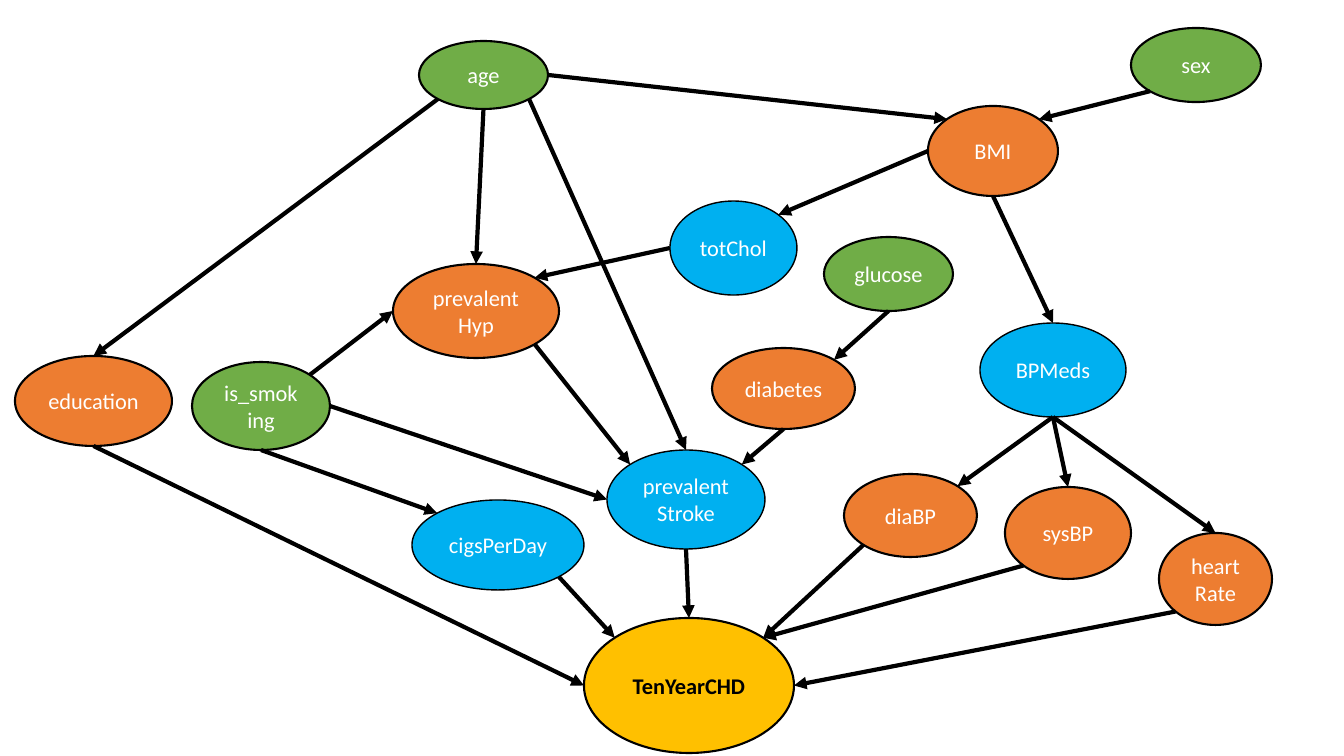
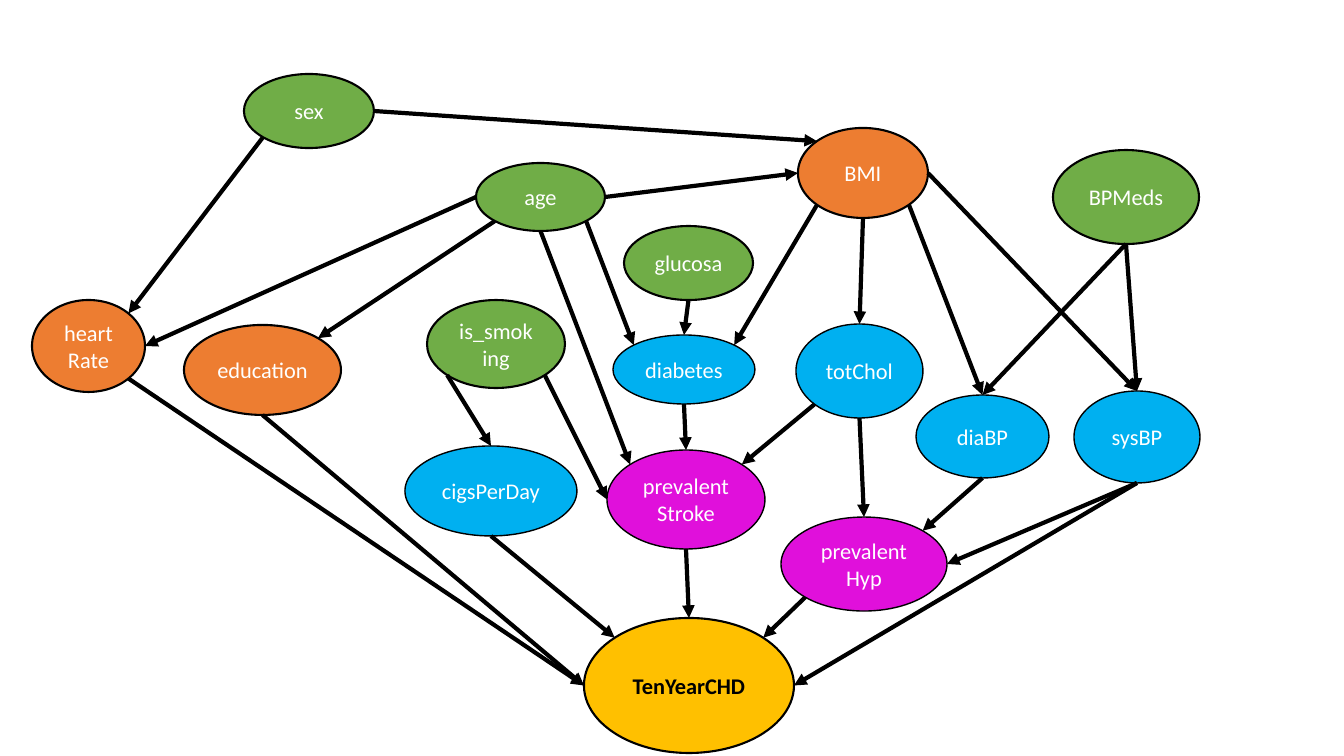
"""Builds two slides of causal graphs about ten-year heart disease risk."""
from lxml import etree
from pptx import Presentation
from pptx import util as u
from pptx.dml.color import RGBColor
from pptx.enum import shapes, text
from pptx.oxml.ns import qn

PIXEL = 914400 / 100.8
BLACK = RGBColor(0x00, 0x00, 0x00)
WHITE = RGBColor(0xFF, 0xFF, 0xFF)
GREEN = RGBColor(0x70, 0xAD, 0x47)
ORANGE = RGBColor(0xED, 0x7D, 0x31)
BLUE = RGBColor(0x00, 0xB0, 0xF0)
MAGENTA = RGBColor(0xE0, 0x10, 0xDB)
GOLD = RGBColor(0xFF, 0xC0, 0x00)

OUTLINES = {GREEN: 1.5, ORANGE: 1.5, GOLD: 1.5, BLUE: 1, MAGENTA: 1}
LABEL = {"name": "Calibri", "size": u.Pt(16), "bold": False}
OUTCOME_LABEL = {**LABEL, "bold": True}

DIAGONAL = 0.5 ** 0.5
SITES = {
    "top": (0, 0, -1),
    "top left": (1, -DIAGONAL, -DIAGONAL),
    "left": (2, -1, 0),
    "bottom left": (3, -DIAGONAL, DIAGONAL),
    "bottom": (4, 0, 1),
    "bottom right": (5, DIAGONAL, DIAGONAL),
    "right": (6, 1, 0),
    "top right": (7, DIAGONAL, -DIAGONAL),
}

SIZES = {
    "BPMeds": (146, 94), "is_smoking": (138, 88), "sex": (130, 74),
    "age": (129, 68), "cigsPerDay": (172, 90), "BMI": (130, 90),
    "sysBP": (126, 92), "totChol": (127, 94), "TenYearCHD": (210, 135),
    "education": (157, 90), "prevalentStroke": (158, 99),
    "prevalentHyp": (166, 94), "diabetes": (143, 81), "diaBP": (133, 83),
    "heartRate": (113, 92), "glucose": (129, 74), "glucosa": (129, 74),
}

FIRST_NODES = {
    "BPMeds": (980, 323, BLUE), "is_smoking": (192, 362, GREEN),
    "sex": (1131, 28, GREEN), "age": (419, 41, GREEN),
    "cigsPerDay": (412, 500, BLUE), "BMI": (928, 106, ORANGE),
    "sysBP": (1005, 487, ORANGE), "totChol": (670, 201, BLUE),
    "TenYearCHD": (584, 618, GOLD), "education": (15, 356, ORANGE),
    "prevalentStroke": (607, 450, BLUE), "prevalentHyp": (393, 264, ORANGE),
    "diabetes": (712, 348, ORANGE), "diaBP": (844, 474, ORANGE),
    "heartRate": (1159, 533, ORANGE), "glucose": (824, 237, GREEN),
}
FIRST_ARROWS = [
    ("is_smoking", "bottom", "cigsPerDay", "top left"),
    ("is_smoking", "top right", "prevalentHyp", "left"),
    ("is_smoking", "right", "prevalentStroke", "left"),
    ("age", "bottom", "prevalentHyp", "top"),
    ("age", "bottom left", "education", "top"),
    ("age", "bottom right", "prevalentStroke", "top"),
    ("age", "right", "BMI", "top left"),
    ("education", "bottom", "TenYearCHD", "left"),
    ("diabetes", "bottom", "prevalentStroke", "top right"),
    ("prevalentHyp", "bottom right", "prevalentStroke", "top left"),
    ("glucose", "bottom", "diabetes", "top right"),
    ("cigsPerDay", "bottom right", "TenYearCHD", "top left"),
    ("sex", "bottom left", "BMI", "top right"),
    ("BMI", "bottom", "BPMeds", "top"),
    ("BMI", "left", "totChol", "top right"),
    ("totChol", "left", "prevalentHyp", "top right"),
    ("prevalentStroke", "bottom", "TenYearCHD", "top"),
    ("BPMeds", "bottom", "diaBP", "top right"),
    ("BPMeds", "bottom", "sysBP", "top"),
    ("BPMeds", "bottom", "heartRate", "top"),
    ("heartRate", "bottom left", "TenYearCHD", "right"),
    ("sysBP", "bottom left", "TenYearCHD", "top right"),
    ("diaBP", "bottom left", "TenYearCHD", "top right"),
]

SECOND_NODES = {
    "BPMeds": (1053, 150, GREEN), "is_smoking": (427, 300, GREEN),
    "sex": (244, 74, GREEN), "age": (476, 163, GREEN),
    "cigsPerDay": (405, 446, BLUE), "BMI": (798, 128, ORANGE),
    "sysBP": (1074, 391, BLUE), "totChol": (796, 324, BLUE),
    "TenYearCHD": (584, 618, GOLD), "education": (184, 325, ORANGE),
    "prevalentStroke": (607, 450, MAGENTA), "prevalentHyp": (781, 517, MAGENTA),
    "diabetes": (613, 335, BLUE), "diaBP": (916, 395, BLUE),
    "heartRate": (32, 300, ORANGE), "glucosa": (624, 226, GREEN),
}
SECOND_ARROWS = [
    ("is_smoking", "bottom left", "cigsPerDay", "top"),
    ("is_smoking", "bottom right", "prevalentStroke", "left"),
    ("age", "bottom left", "education", "top right"),
    ("age", "bottom", "prevalentStroke", "top left"),
    ("age", "right", "BMI", "left"),
    ("age", "bottom right", "diabetes", "top left"),
    ("age", "left", "heartRate", "right"),
    ("education", "bottom", "TenYearCHD", "left"),
    ("diabetes", "bottom", "prevalentStroke", "top"),
    ("glucosa", "bottom", "diabetes", "top"),
    ("cigsPerDay", "bottom", "TenYearCHD", "top left"),
    ("sex", "right", "BMI", "top left"),
    ("sex", "bottom left", "heartRate", "top right"),
    ("prevalentStroke", "bottom", "TenYearCHD", "top"),
    ("BPMeds", "bottom", "diaBP", "top"),
    ("BPMeds", "bottom", "sysBP", "top"),
    ("BMI", "bottom", "totChol", "top"),
    ("BMI", "right", "sysBP", "top"),
    ("BMI", "bottom right", "diaBP", "top"),
    ("BMI", "bottom left", "diabetes", "top right"),
    ("diaBP", "bottom", "prevalentHyp", "top right"),
    ("sysBP", "bottom", "prevalentHyp", "right"),
    ("sysBP", "bottom", "TenYearCHD", "right"),
    ("totChol", "bottom", "prevalentHyp", "top"),
    ("totChol", "bottom left", "prevalentStroke", "top right"),
    ("prevalentHyp", "bottom left", "TenYearCHD", "top right"),
    ("heartRate", "bottom right", "TenYearCHD", "left"),
]


def px(length):
    """Turn pixels into EMU."""
    return u.Emu(round(length * PIXEL))


class GraphDeck:
    """Holds the presentation, the current slide and its nodes."""

    def __init__(self):
        """Start an empty wide presentation."""
        self.presentation = Presentation()
        self.presentation.slide_width = px(1344)
        self.presentation.slide_height = px(756)

    def add_slide(self):
        """Start a blank slide without nodes."""
        self.slide = self.presentation.slides.add_slide(
            self.presentation.slide_layouts[6])
        self.nodes = {}

    def add_node(self, name, left, top, width, height, fill):
        """Draw a labelled ellipse."""
        shape = self.slide.shapes.add_shape(
            shapes.MSO_SHAPE.OVAL, px(left), px(top), px(width), px(height))
        shape.shadow.inherit = False
        shape.fill.solid()
        shape.fill.fore_color.rgb = fill
        shape.line.color.rgb = BLACK
        shape.line.width = u.Pt(OUTLINES[fill])
        shape.text_frame.word_wrap = True
        shape.text_frame.vertical_anchor = text.MSO_ANCHOR.MIDDLE
        paragraph = shape.text_frame.paragraphs[0]
        paragraph.alignment = text.PP_ALIGN.CENTER
        run = paragraph.add_run()
        run.text = name
        outcome = fill == GOLD
        for key, value in (OUTCOME_LABEL if outcome else LABEL).items():
            setattr(run.font, key, value)
        run.font.color.rgb = BLACK if outcome else WHITE
        self.nodes[name] = shape

    def site_point(self, name, site):
        """Return the place of a connection site on an ellipse."""
        shape = self.nodes[name]
        _, across, down = SITES[site]
        return (round(shape.left + shape.width * (1 + across) / 2),
                round(shape.top + shape.height * (1 + down) / 2))

    def add_arrow(self, cause, cause_site, effect, effect_site):
        """Draw an arrow glued to two ellipses."""
        connector = self.slide.shapes.add_connector(
            shapes.MSO_CONNECTOR.STRAIGHT,
            *self.site_point(cause, cause_site),
            *self.site_point(effect, effect_site))
        connector.line.color.rgb = BLACK
        connector.line.width = u.Pt(3)
        element = connector._element
        glue = element.find(".//" + qn("p:cNvCxnSpPr"))
        for tag, name, site in (("a:stCxn", cause, cause_site),
                                ("a:endCxn", effect, effect_site)):
            etree.SubElement(glue, qn(tag), id=str(self.nodes[name].shape_id),
                             idx=str(SITES[site][0]))
        etree.SubElement(connector.line._get_or_add_ln(), qn("a:tailEnd"),
                         type="triangle")
        etree.SubElement(element.spPr, qn("a:effectLst"))

    def add_graph(self, nodes, arrows, sizes):
        """Draw one graph on a new slide."""
        self.add_slide()
        for name, (left, top, fill) in nodes.items():
            self.add_node(name, left, top, *sizes[name], fill)
        for arrow in arrows:
            self.add_arrow(*arrow)


deck = GraphDeck()
deck.add_graph(FIRST_NODES, FIRST_ARROWS, SIZES)
deck.add_graph(SECOND_NODES, SECOND_ARROWS, {**SIZES, "diabetes": (142, 69)})
deck.presentation.save("out.pptx")
